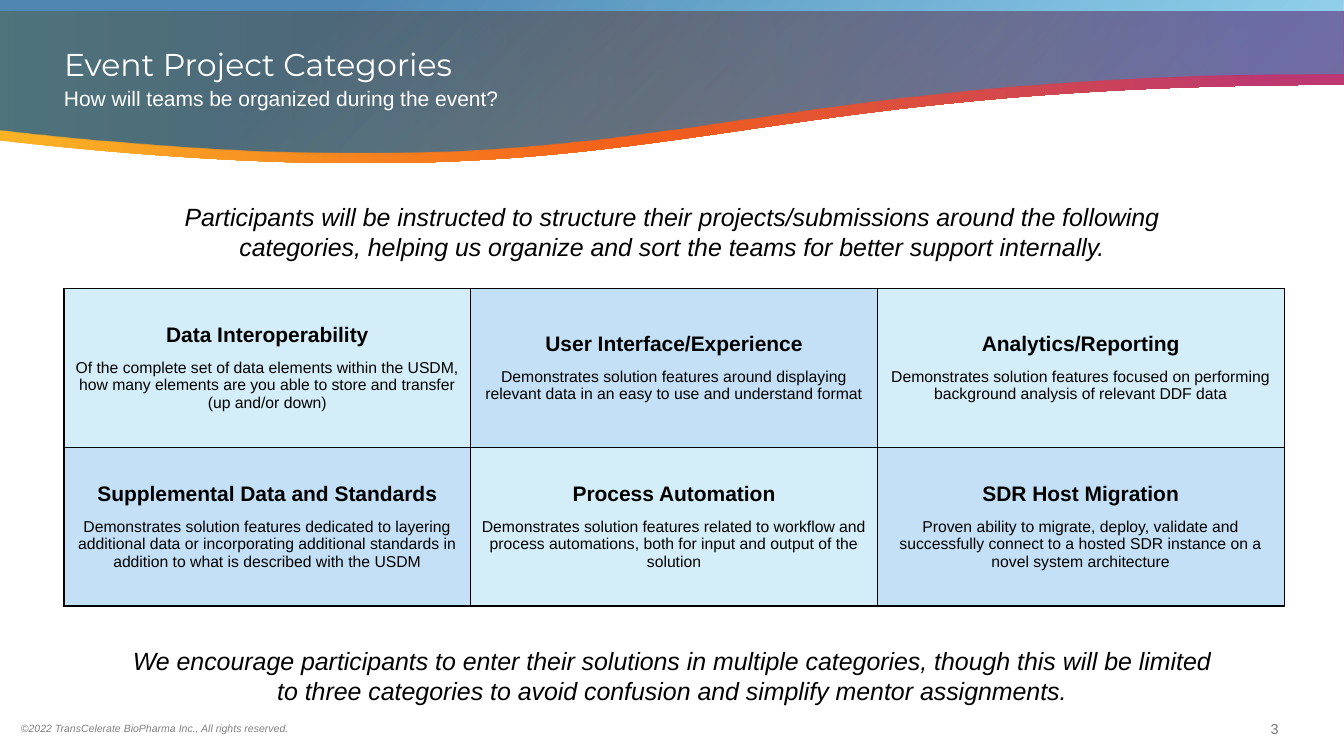
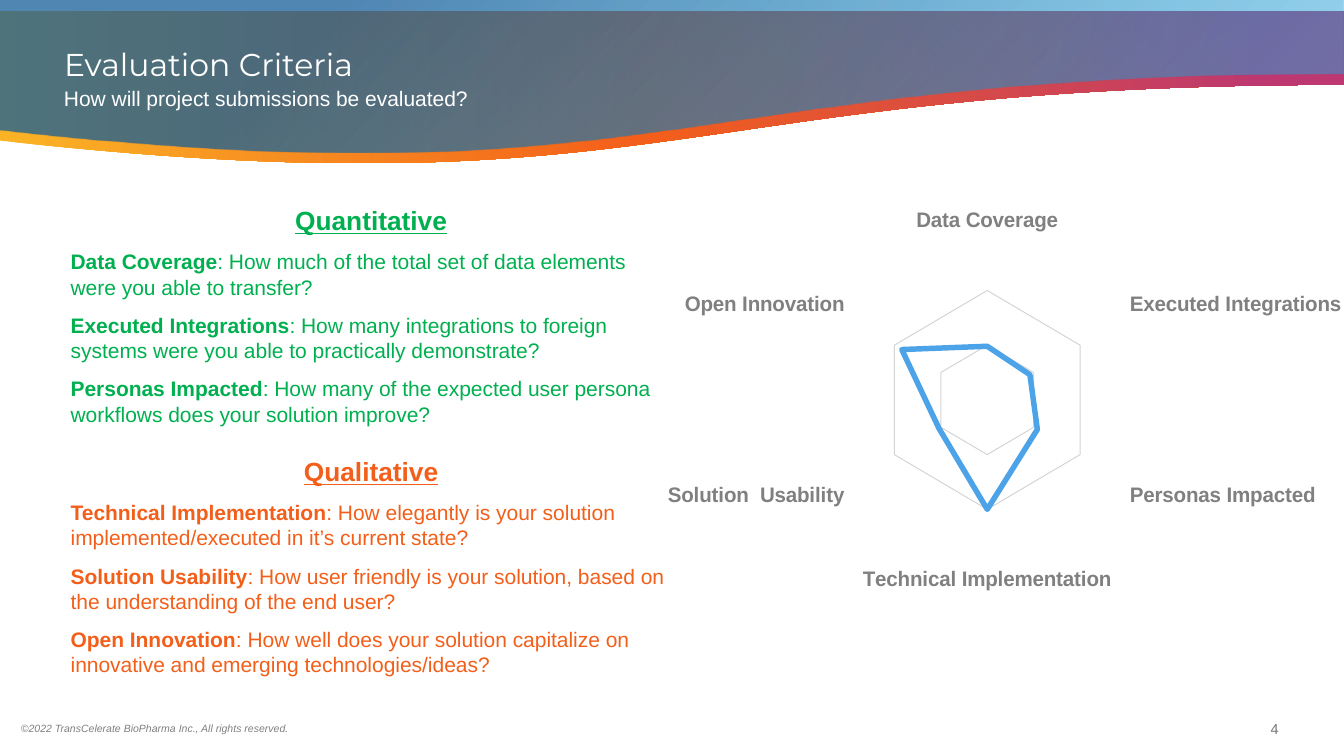
from lxml import etree
from pptx import Presentation
from pptx.chart.data import CategoryChartData
from pptx.dml.color import RGBColor
from pptx.enum.chart import XL_CHART_TYPE, XL_TICK_MARK
from pptx.enum.text import MSO_ANCHOR, MSO_AUTO_SIZE, PP_ALIGN
from pptx.oxml import parse_xml
from pptx.oxml.ns import nsdecls, qn
from pptx.util import Cm, Pt

LEFT, CENTER = PP_ALIGN.LEFT, PP_ALIGN.CENTER
TOP, MIDDLE, BOTTOM = MSO_ANCHOR.TOP, MSO_ANCHOR.MIDDLE, MSO_ANCHOR.BOTTOM

SLIDE_W, SLIDE_H = 36.12, 20.32
MARGIN = 1.72
BODY_FONT, TITLE_FONT = "Arial", "Montserrat"
WHITE, BLACK, GREY, NUMBER_GREY = "FFFFFF", "000000", "808080", "757575"
GREEN, ORANGE, BLUE = "00B050", "F35F1A", "4CA3E8"
CELL_FILLS = ("D4EEF9", "C3E0F7")

# Gradient stops: position, colour, opacity (all percentages but the colour)
SUNSET = [(0, "FBB326", 100), (48, ORANGE, 100), (94, "BD3870", 100)]
BLUE_GLOW = [(24, "145E99", 25), (100, "27AAE1", 10)]
BLUE_VEIL = [(24, "145E99", 65), (100, "27AAE1", 40)]

CATEGORIES = [
    [("Data Interoperability",
      "Of the complete set of data elements within the USDM, how many elements "
      "are you able to store and transfer (up and/or down)"),
     ("User Interface/Experience",
      "Demonstrates solution features around displaying relevant data in an "
      "easy to use and understand format"),
     ("Analytics/Reporting",
      "Demonstrates solution features focused on performing background "
      "analysis of relevant DDF data")],
    [("Supplemental Data and Standards",
      "Demonstrates solution features dedicated to layering additional data or "
      "incorporating additional standards in addition to what is described "
      "with the USDM"),
     ("Process Automation",
      "Demonstrates solution features related to workflow and process "
      "automations, both for input and output of the solution"),
     ("SDR Host Migration",
      "Proven ability to migrate, deploy, validate and successfully connect to "
      "a hosted SDR instance on a novel system architecture")],
]

CRITERIA = [
    ("Quantitative", GREEN, [
        ("Data Coverage", "How much of the total set of data elements were you "
                          "able to transfer?"),
        ("Executed Integrations", "How many integrations to foreign systems "
                                  "were you able to practically demonstrate?"),
        ("Personas Impacted", "How many of the expected user persona workflows "
                              "does your solution improve?")]),
    ("Qualitative", ORANGE, [
        ("Technical Implementation", "How elegantly is your solution "
                                     "implemented/executed in it’s current state?"),
        ("Solution Usability", "How user friendly is your solution, based on "
                               "the understanding of the end user?"),
        ("Open Innovation", "How well does your solution capitalize on "
                            "innovative and emerging technologies/ideas?")]),
]

SCORES = {"Data Coverage": 49, "Executed Integrations": 46,
          "Personas Impacted": 54, "Technical Implementation": 100,
          "Solution  Usability": 52, "Open Innovation": 92}


def rgb(color):
    return RGBColor.from_string(color)


def style(font, size, color, bold=False, italic=False, name=BODY_FONT):
    font.name, font.size = name, Pt(size)
    font.bold, font.italic = bold, italic
    font.color.rgb = rgb(color)


def set_frame(tf, anchor, left=0.0, right=0.0):
    tf.word_wrap = True
    tf.auto_size = MSO_AUTO_SIZE.NONE
    tf.vertical_anchor = anchor
    tf.margin_left, tf.margin_right = Cm(left), Cm(right)
    tf.margin_top = tf.margin_bottom = Cm(0.13)


def add_box(s, x, y, w, h, anchor=MIDDLE, left=0.0, right=0.0):
    box = s.shapes.add_textbox(Cm(x), Cm(y), Cm(w), Cm(h))
    set_frame(box.text_frame, anchor, left, right)
    return box


def add_label(s, x, y, w, h, text, size, color, align=LEFT, italic=False,
              anchor=MIDDLE, inset=0.0):
    box = add_box(s, x, y, w, h, anchor, inset, inset)
    p = box.text_frame.paragraphs[0]
    p.text, p.alignment = text, align
    style(p.runs[0].font, size, color, italic=italic)
    return box


# Shared parts
def add_wave(s, top, stops, angle):
    """Band with a straight top and one cubic curve as its lower edge."""
    height, unit = 4.09, 0.01
    outline = [(SLIDE_W, 0), (SLIDE_W, 1.98),
               (SLIDE_W / 2, 1.98), (SLIDE_W / 2, 5.46), (0, 3.48)]
    builder = s.shapes.build_freeform(0, round(top / unit), scale=Cm(unit))
    builder.add_line_segments(
        [(round(x / unit), round((y + top) / unit)) for x, y in outline], close=True)
    wave = builder.convert_to_shape()

    # The last three points become the controls and end of the curve
    outline_xml = wave.element.spPr.find(".//" + qn("a:path"))
    curve = etree.Element(qn("a:cubicBezTo"))
    segments = outline_xml.findall(qn("a:lnTo"))[2:5]
    segments[0].addprevious(curve)
    for segment in segments:
        curve.append(segment[0])
        outline_xml.remove(segment)
    outline_xml.set("h", str(round(height / unit)))
    wave.height = Cm(height)

    gs = "".join(
        f'<a:gs pos="{pos * 1000}"><a:srgbClr val="{color}">'
        f'<a:alpha val="{opacity * 1000}"/></a:srgbClr></a:gs>'
        for pos, color, opacity in stops)
    wave.element.spPr.append(parse_xml(
        f'<a:gradFill {nsdecls("a")} rotWithShape="1"><a:gsLst>{gs}</a:gsLst>'
        f'<a:lin ang="{angle * 60000}" scaled="0"/></a:gradFill>'))
    wave.line.fill.background()
    wave.shadow.inherit = False
    return wave


def furnish_layout(s, layout):
    """Build the common bands and copyright line, then move them to the layout."""
    tree = layout.shapes.element
    for ph in list(layout.placeholders)[1:]:
        tree.remove(ph.element)
    parts = [
        add_wave(s, 0.3, SUNSET, 0),
        add_wave(s, 0, BLUE_GLOW, 45),
        add_wave(s, 0, BLUE_VEIL, 45),
        add_label(s, 0.56, 19.28, 11.63, 0.61,
                  "©2022 TransCelerate BioPharma Inc., All rights reserved.",
                  8, GREY, italic=True),
    ]
    for part in parts:
        tree.append(part.element)


def add_heading(s, title, subtitle, number):
    ph = s.shapes.title
    ph.left, ph.top, ph.width, ph.height = Cm(MARGIN), Cm(0.43), Cm(29.11), Cm(1.93)
    set_frame(ph.text_frame, BOTTOM, right=0.25)
    p = ph.text_frame.paragraphs[0]
    p.text, p.alignment, p.line_spacing = title, LEFT, 0.9
    style(p.runs[0].font, 24, WHITE, name=TITLE_FONT)
    add_label(s, MARGIN, 2.18, 17.63, 1.65, subtitle, 16, WHITE, anchor=TOP)
    add_label(s, 33.7, 19.2, 1.12, 0.76, str(number), 11, NUMBER_GREY, CENTER)


# Category slide
def add_statement(s, y, text):
    add_label(s, 3.28, y, 29.57, 2.36, text, 19, BLACK, CENTER,
              italic=True, inset=0.25)


def add_borders(cell):
    tc_pr = cell._tc.get_or_add_tcPr()
    for i, side in enumerate(("lnL", "lnR", "lnT", "lnB")):
        ln = etree.Element(qn(f"a:{side}"), w=str(Pt(1)))
        fill = etree.SubElement(ln, qn("a:solidFill"))
        etree.SubElement(fill, qn("a:srgbClr"), val=BLACK)
        tc_pr.insert(i, ln)


def add_category_table(s, rows):
    col_w, row_h = 10.93, 4.27
    n_rows, n_cols = len(rows), len(rows[0])
    table = s.shapes.add_table(n_rows, n_cols, Cm(MARGIN), Cm(7.75),
                               Cm(col_w * n_cols), Cm(row_h * n_rows)).table
    table.first_row = table.horz_banding = False
    for r, row in enumerate(rows):
        table.rows[r].height = Cm(row_h)
        for c, (name, description) in enumerate(row):
            table.columns[c].width = Cm(col_w)
            cell = table.cell(r, c)
            cell.fill.solid()
            cell.fill.fore_color.rgb = rgb(CELL_FILLS[(r + c) % 2])
            cell.vertical_anchor = MIDDLE
            add_borders(cell)
            head = cell.text_frame.paragraphs[0]
            body = cell.text_frame.add_paragraph()
            head.text, body.text = name, description
            head.alignment = body.alignment = CENTER
            body.space_before = Pt(9)
            style(head.runs[0].font, 16, BLACK, bold=True)
            style(body.runs[0].font, 12, BLACK)


# Criteria slide
def add_criteria(s, groups):
    tf = add_box(s, MARGIN, 5.36, 16.33, 13.08, TOP, left=0.18).text_frame
    for i, (heading, color, items) in enumerate(groups):
        p = tf.add_paragraph() if i else tf.paragraphs[0]
        p.text, p.alignment = heading, CENTER
        p.space_before = Pt(22 if i else 0)
        style(p.runs[0].font, 20, color, bold=True)
        p.runs[0].font.underline = True
        for name, question in items:
            p = tf.add_paragraph()
            p.space_before = Pt(10)
            for text, bold in ((name, True), (f": {question}", False)):
                r = p.add_run()
                r.text = text
                style(r.font, 16, color, bold=bold)


def add_radar(s, scores):
    data = CategoryChartData()
    data.categories = list(scores)
    data.add_series("Series 1", list(scores.values()))
    chart = s.shapes.add_chart(XL_CHART_TYPE.RADAR, Cm(17.73), Cm(-1.58),
                               Cm(18.39), Cm(24.66), data).chart
    chart.has_legend = chart.has_title = False
    style(chart.font, 10, BLACK)
    plot = chart.plots[0]
    plot.vary_by_categories = False
    line = plot.series[0].format.line
    line.color.rgb, line.width = rgb(BLUE), Pt(4.25)

    axis = chart.category_axis
    axis.has_major_gridlines = False
    axis.major_tick_mark = axis.minor_tick_mark = XL_TICK_MARK.NONE
    style(axis.tick_labels.font, 16, GREY, bold=True)
    axis.format.line.color.rgb = rgb("D9D9D9")
    axis.format.line.width = Pt(0.75)

    axis = chart.value_axis
    axis.minimum_scale, axis.maximum_scale, axis.major_unit = 0, 100, 50
    axis.has_major_gridlines = True
    axis.major_gridlines.format.line.color.rgb = rgb("D3D3D3")
    axis.major_gridlines.format.line.width = Pt(0.75)
    axis.visible = False


def main():
    prs = Presentation()
    prs.slide_width, prs.slide_height = Cm(SLIDE_W), Cm(SLIDE_H)
    layout = prs.slide_layouts[5]

    s = prs.slides.add_slide(layout)
    furnish_layout(s, layout)
    add_heading(s, "Event Project Categories",
                "How will teams be organized during the event?", 3)
    add_category_table(s, CATEGORIES)
    add_statement(s, 5.05, "Participants will be instructed to structure their "
                  "projects/submissions around the following categories, helping "
                  "us organize and sort the teams for better support internally.")
    add_statement(s, 16.97, "We encourage participants to enter their solutions in "
                  "multiple categories, though this will be limited to three "
                  "categories to avoid confusion and simplify mentor assignments.")

    s = prs.slides.add_slide(layout)
    add_heading(s, "Evaluation Criteria",
                "How will project submissions be evaluated?", 4)
    add_criteria(s, CRITERIA)
    add_radar(s, SCORES)

    prs.save("out.pptx")


if __name__ == "__main__":
    main()
